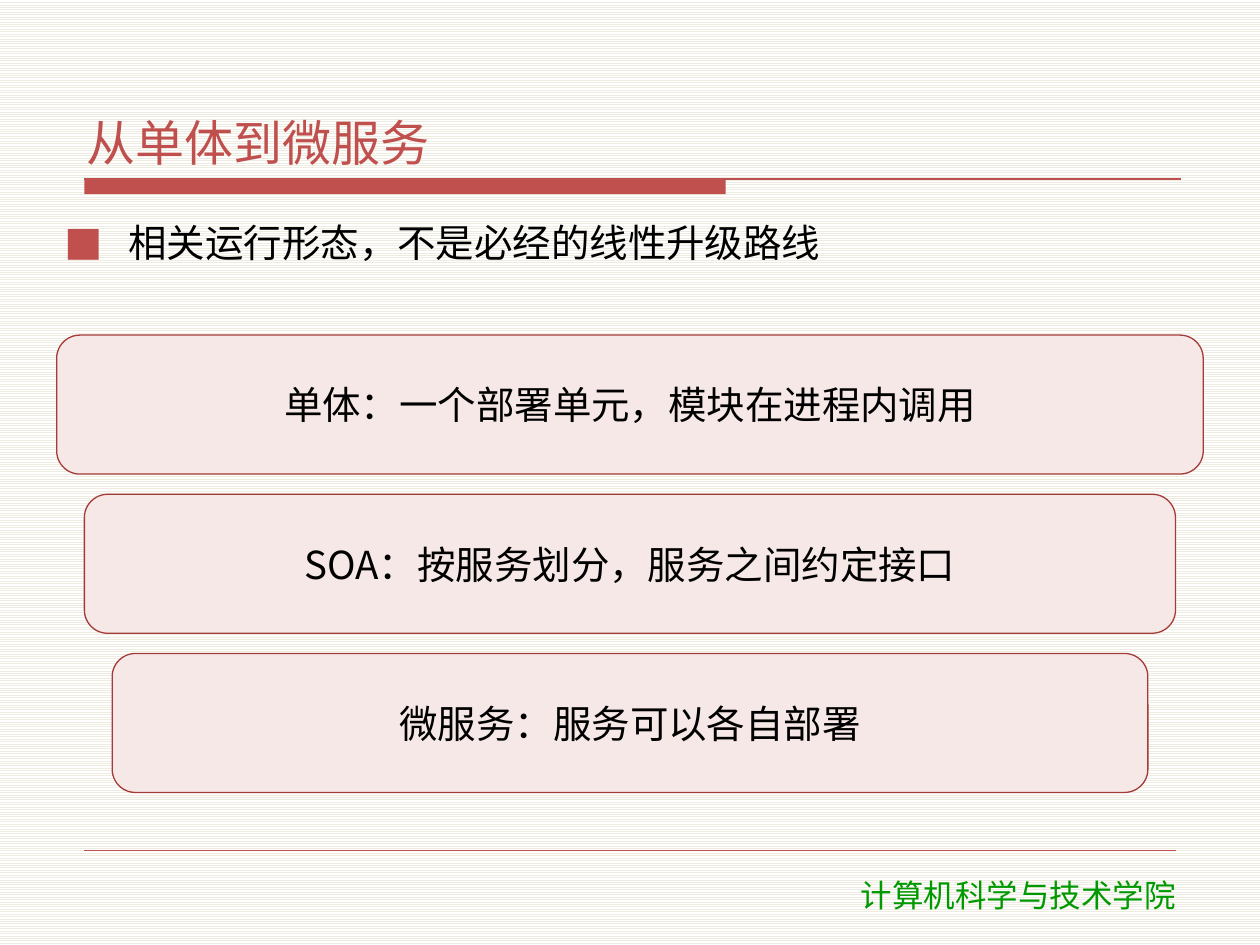
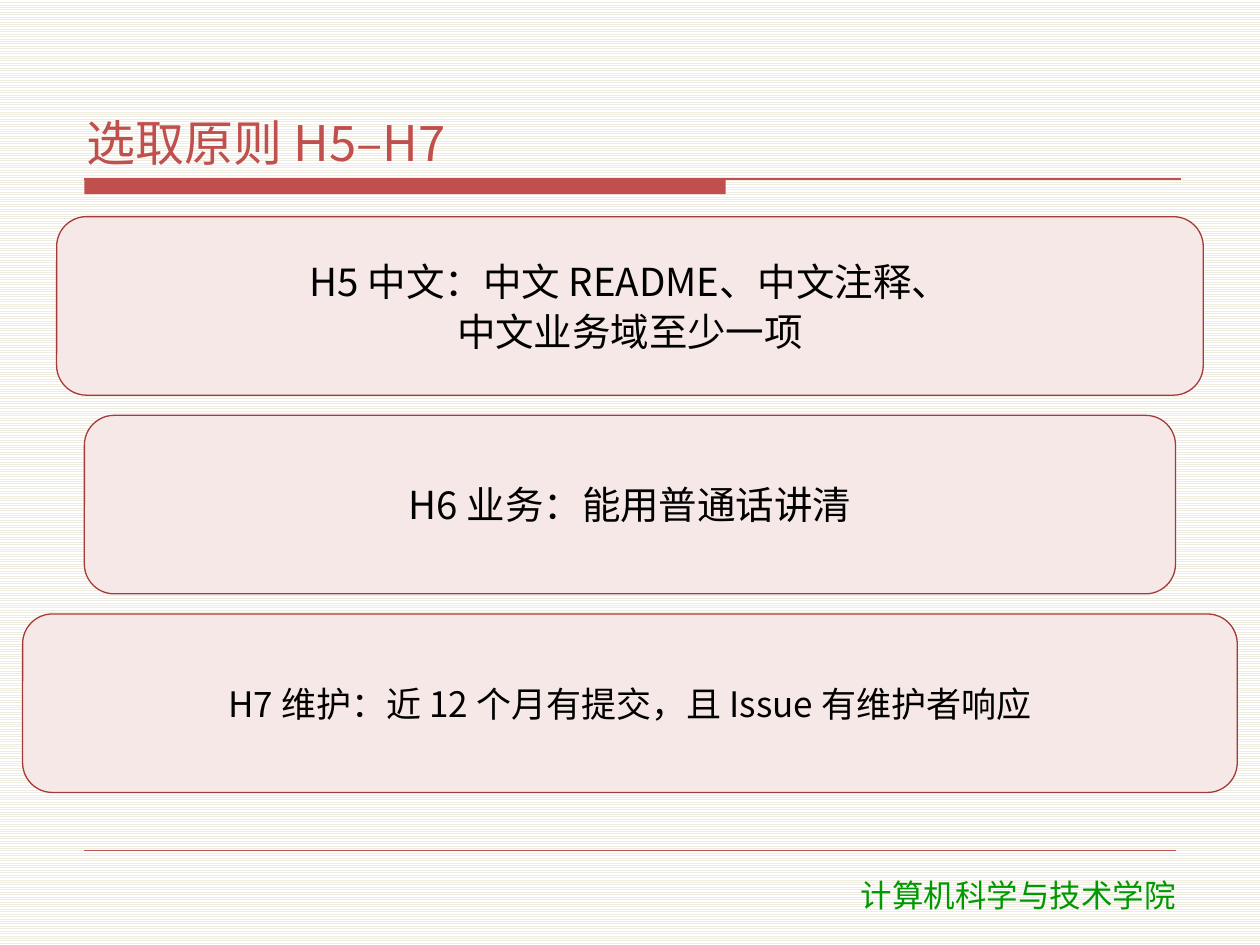
from lxml import etree
from pptx import Presentation
from pptx.dml.color import RGBColor
from pptx.enum.dml import MSO_PATTERN
from pptx.enum.shapes import MSO_CONNECTOR, MSO_SHAPE
from pptx.enum.text import MSO_ANCHOR, MSO_AUTO_SIZE, PP_ALIGN
from pptx.oxml.ns import qn
from pptx.util import Inches, Pt

STRAIGHT = MSO_CONNECTOR.STRAIGHT
RECT, ROUNDED = MSO_SHAPE.RECTANGLE, MSO_SHAPE.ROUNDED_RECTANGLE
TOP, MIDDLE, BOTTOM = MSO_ANCHOR.TOP, MSO_ANCHOR.MIDDLE, MSO_ANCHOR.BOTTOM
LEFT, CENTER = PP_ALIGN.LEFT, PP_ALIGN.CENTER
NO_FIT = MSO_AUTO_SIZE.NONE
LIGHT_HORIZONTAL = MSO_PATTERN.LIGHT_HORIZONTAL

FONT, FOOTER_FONT = "Noto Sans CJK SC", "DejaVu Sans"
ACCENT, BORDER, CARD = "C0504D", "A33B38", "F6E8E6"
BLACK, GREEN, CREAM, WHITE = "000000", "009900", "EEECE1", "FFFFFF"

SLIDE_W, SLIDE_H = 10, 7.5
CARDS_BOTTOM, CARD_GAP = 6.29, 0.16
FOOTER = "计算机科学与技术学院"

SLIDES = [
    {
        "title": "从单体到微服务",
        "bullet": "相关运行形态，不是必经的线性升级路线",
        "cards_top": 2.66,
        "cards": [
            {"lines": ["单体：一个部署单元，模块在进程内调用"], "width": 9.1},
            {"lines": ["SOA：按服务划分，服务之间约定接口"], "width": 8.66},
            {"lines": ["微服务：服务可以各自部署"], "width": 8.22},
        ],
    },
    {
        "title": "选取原则 H5–H7",
        "cards_top": 1.72,
        "cards": [
            {"lines": ["H5 中文：中文 README、中文注释、", "中文业务域至少一项"], "width": 9.1},
            {"lines": ["H6 业务：能用普通话讲清"], "width": 8.66},
            {"lines": ["H7 维护：近 12 个月有提交，且 Issue 有维护者响应"],
             "width": 9.64, "size": 20, "inset": 0.02},
        ],
    },
]


def rgb(color):
    return RGBColor.from_string(color)


def box(left, top, width, height):
    return [Inches(v) for v in (left, top, width, height)]


def place(sp, *at):
    sp.left, sp.top, sp.width, sp.height = box(*at)


def write(sp, lines, size, color, font=FONT, align=CENTER, anchor=MIDDLE,
          inset=0.06, inset_y=0.02, after=2):
    tf = sp.text_frame
    frame = {
        "word_wrap": True, "auto_size": NO_FIT, "vertical_anchor": anchor,
        "margin_left": Inches(inset), "margin_right": Inches(inset),
        "margin_top": Inches(inset_y), "margin_bottom": Inches(inset_y),
    }
    for name, value in frame.items():
        setattr(tf, name, value)
    for i, line in enumerate(lines):
        p = tf.paragraphs[0] if i == 0 else tf.add_paragraph()
        spacing = {"alignment": align, "space_before": Pt(0), "space_after": Pt(after)}
        for name, value in spacing.items():
            setattr(p, name, value)
        r = p.add_run()
        r.text = line
        for name, value in {"name": font, "size": Pt(size), "bold": False}.items():
            setattr(r.font, name, value)
        r.font.color.rgb = rgb(color)
        ea = etree.Element(qn("a:ea"), typeface=font)
        r.font._element.find(qn("a:latin")).addnext(ea)
    return tf


def add_bullet(p, indent):
    pPr = p._p.get_or_add_pPr()
    pPr.set("marL", str(Inches(indent)))
    pPr.set("indent", str(-Inches(indent)))
    clr = etree.SubElement(pPr, qn("a:buClr"))
    etree.SubElement(clr, qn("a:srgbClr"), val=ACCENT)
    etree.SubElement(pPr, qn("a:buFont"), typeface=FONT)
    etree.SubElement(pPr, qn("a:buChar"), char="■")


def add_block(s, kind, at, fill, line=None):
    sp = s.shapes.add_shape(kind, *box(*at))
    sp.shadow.inherit = False
    sp.fill.solid()
    sp.fill.fore_color.rgb = rgb(fill)
    if line:
        sp.line.color.rgb = rgb(line)
        sp.line.width = Pt(0.75)
    else:
        sp.line.fill.background()
    return sp


def add_rule(s, x1, x2, y, width):
    cx = s.shapes.add_connector(STRAIGHT, *box(x1, y, x2, y))
    cx.line.color.rgb = rgb(ACCENT)
    cx.line.width = Pt(width)
    etree.SubElement(cx._element.spPr, qn("a:effectLst"))


def add_frame(s):
    add_block(s, RECT, (0.67, 1.42, 5.09, 0.12), ACCENT)
    add_rule(s, 0.67, 9.37, 1.42, 0.75)
    add_rule(s, 0.67, 9.33, 6.75, 0.25)
    sp = s.shapes.add_textbox(*box(6.07, 6.9, 4.02, 0.4))
    write(sp, [FOOTER], 18, GREEN, FOOTER_FONT, inset=0.1, inset_y=0.05, after=0)


def add_cards(s, cards, top):
    count = len(cards)
    height = (CARDS_BOTTOM - top - CARD_GAP * (count - 1)) / count
    for i, card in enumerate(cards):
        width = card["width"]
        at = ((SLIDE_W - width) / 2, top + i * (height + CARD_GAP), width, height)
        sp = add_block(s, ROUNDED, at, CARD, BORDER)
        write(sp, card["lines"], card.get("size", 22), BLACK, inset=card.get("inset", 0.06))


def add_slide(prs, content):
    bullet = content.get("bullet")
    s = prs.slides.add_slide(prs.slide_layouts[1 if bullet else 5])
    add_frame(s)
    title = s.shapes.title
    place(title, 0.63, 0.33, 8.75, 1.05)
    write(title, [content["title"]], 28, ACCENT, align=LEFT, anchor=BOTTOM)
    if bullet:
        body = s.placeholders[1]
        place(body, 0.45, 1.72, 9.1, 0.86)
        tf = write(body, [bullet], 22, BLACK, align=LEFT, anchor=TOP)
        add_bullet(tf.paragraphs[0], 0.51)
    add_cards(s, content["cards"], content["cards_top"])


def main():
    prs = Presentation()
    prs.slide_width, prs.slide_height = Inches(SLIDE_W), Inches(SLIDE_H)
    fill = prs.slide_master.background.fill
    fill.patterned()
    fill.pattern = LIGHT_HORIZONTAL
    fill.fore_color.rgb = rgb(CREAM)
    fill.back_color.rgb = rgb(WHITE)
    for content in SLIDES:
        add_slide(prs, content)
    prs.save("out.pptx")


if __name__ == "__main__":
    main()
